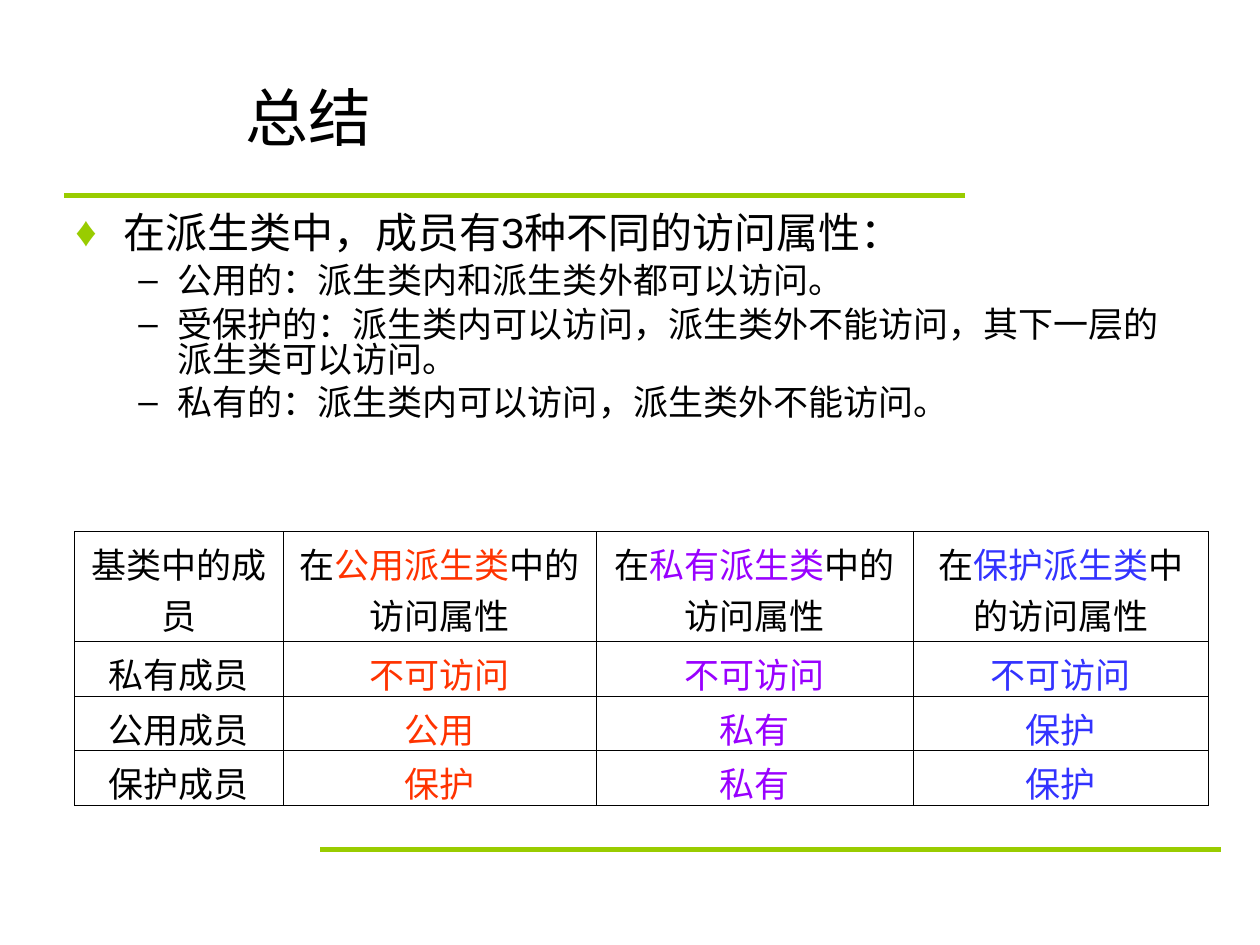
from lxml import etree
from pptx import Presentation
from pptx.dml.color import RGBColor
from pptx.enum.shapes import MSO_CONNECTOR
from pptx.enum.text import MSO_ANCHOR, PP_ALIGN
from pptx.oxml.ns import qn
from pptx.util import Inches, Pt

STRAIGHT = MSO_CONNECTOR.STRAIGHT
MIDDLE = MSO_ANCHOR.MIDDLE
CENTER = PP_ALIGN.CENTER

BLACK, GREEN = "000000", "99CC00"
RED, PURPLE, BLUE = "FF3300", "9900FF", "3333FF"
COLUMN_COLORS = [BLACK, RED, PURPLE, BLUE]

INTRO = "在派生类中，成员有3种不同的访问属性："
ACCESS_KINDS = [
    "公用的：派生类内和派生类外都可以访问。",
    "受保护的：派生类内可以访问，派生类外不能访问，其下一层的派生类可以访问。",
    "私有的：派生类内可以访问，派生类外不能访问。",
]
DERIVATIONS = ["公用派生类", "私有派生类", "保护派生类"]
MEMBER_ROWS = [
    ["私有成员", "不可访问", "不可访问", "不可访问"],
    ["公用成员", "公用", "私有", "保护"],
    ["保护成员", "保护", "私有", "保护"],
]
COLUMN_WIDTHS = [1.66, 2.48, 2.52, 2.34]
ROW_HEIGHTS = [0.87, 0.43, 0.43, 0.43]


def rgb(color):
    return RGBColor.from_string(color)


def add_run(paragraph, text, size, color=BLACK, font="Arial"):
    run = paragraph.add_run()
    run.text = text
    run.font.size = Pt(size)
    run.font.name = font
    run.font.color.rgb = rgb(color)


def set_bullet(paragraph, char, color, left, hanging):
    properties = paragraph._p.get_or_add_pPr()
    properties.set("marL", str(Inches(left)))
    properties.set("indent", str(-Inches(hanging)))
    bullet_color = etree.SubElement(properties, qn("a:buClr"))
    etree.SubElement(bullet_color, qn("a:srgbClr"), val=color)
    etree.SubElement(properties, qn("a:buFont"), typeface="Arial")
    etree.SubElement(properties, qn("a:buChar"), char=char)


def set_borders(cell, color, width):
    properties = cell._tc.get_or_add_tcPr()
    for side in ("lnL", "lnR", "lnT", "lnB"):
        border = etree.SubElement(properties, qn(f"a:{side}"), w=str(Pt(width)))
        fill = etree.SubElement(border, qn("a:solidFill"))
        etree.SubElement(fill, qn("a:srgbClr"), val=color)


def add_rule(slide, left, top, width):
    rule = slide.shapes.add_connector(
        STRAIGHT, Inches(left), Inches(top), Inches(left + width), Inches(top))
    rule.line.color.rgb = rgb(GREEN)
    rule.line.width = Pt(3)
    etree.SubElement(rule._element.spPr, qn("a:effectLst"))


def add_text_frame(slide, left, top, width, height):
    box = slide.shapes.add_textbox(
        Inches(left), Inches(top), Inches(width), Inches(height))
    box.text_frame.word_wrap = True
    return box.text_frame


def add_title(slide, left, top, width, height):
    title = add_text_frame(slide, left, top, width, height)
    title.vertical_anchor = MIDDLE
    add_run(title.paragraphs[0], "总结", 36)


def add_access_list(slide, left, top, width, height):
    body = add_text_frame(slide, left, top, width, height)
    body.margin_top = Inches(0.09)
    intro = body.paragraphs[0]
    intro.line_spacing = 0.83
    set_bullet(intro, "♦", GREEN, 0.38, 0.38)
    add_run(intro, INTRO, 24)
    for text in ACCESS_KINDS:
        kind = body.add_paragraph()
        kind.level = 1
        kind.line_spacing = 0.83
        kind.space_before = Pt(5)
        set_bullet(kind, "–", BLACK, 0.81, 0.31)
        add_run(kind, text, 20)


def add_access_table(slide, left, top, width, height):
    table = slide.shapes.add_table(
        len(ROW_HEIGHTS), len(COLUMN_WIDTHS),
        Inches(left), Inches(top), Inches(width), Inches(height)).table
    table.first_row = table.horz_banding = False
    for column, column_width in zip(table.columns, COLUMN_WIDTHS):
        column.width = Inches(column_width)
    for row, row_height in zip(table.rows, ROW_HEIGHTS):
        row.height = Inches(row_height)

    # Each cell is a list of (text, colour) parts
    header = [[("基类中的成员", BLACK)]] + [
        [("在", BLACK), (name, color), ("中的访问属性", BLACK)]
        for name, color in zip(DERIVATIONS, COLUMN_COLORS[1:])]
    members = [[[part] for part in zip(row, COLUMN_COLORS)] for row in MEMBER_ROWS]
    for r, row in enumerate([header] + members):
        for c, parts in enumerate(row):
            cell = table.cell(r, c)
            set_borders(cell, BLACK, 0.45)
            cell.fill.background()
            paragraph = cell.text_frame.paragraphs[0]
            paragraph.alignment = CENTER
            for text, color in parts:
                add_run(paragraph, text, 20, color, "Times New Roman")


def main():
    presentation = Presentation()
    presentation.slide_width = Inches(10)
    presentation.slide_height = Inches(7.5)
    slide = presentation.slides.add_slide(presentation.slide_layouts[6])

    # Green rules below the title and at the foot
    add_rule(slide, 0.51, 1.55, 7.15)
    add_rule(slide, 2.54, 6.74, 7.15)

    add_title(slide, 1.85, 0.3, 7.65, 1.25)
    add_access_list(slide, 0.5, 1.62, 9, 5.04)
    add_access_table(slide, 0.59, 4.22, 9, 2.16)
    presentation.save("out.pptx")


if __name__ == "__main__":
    main()
